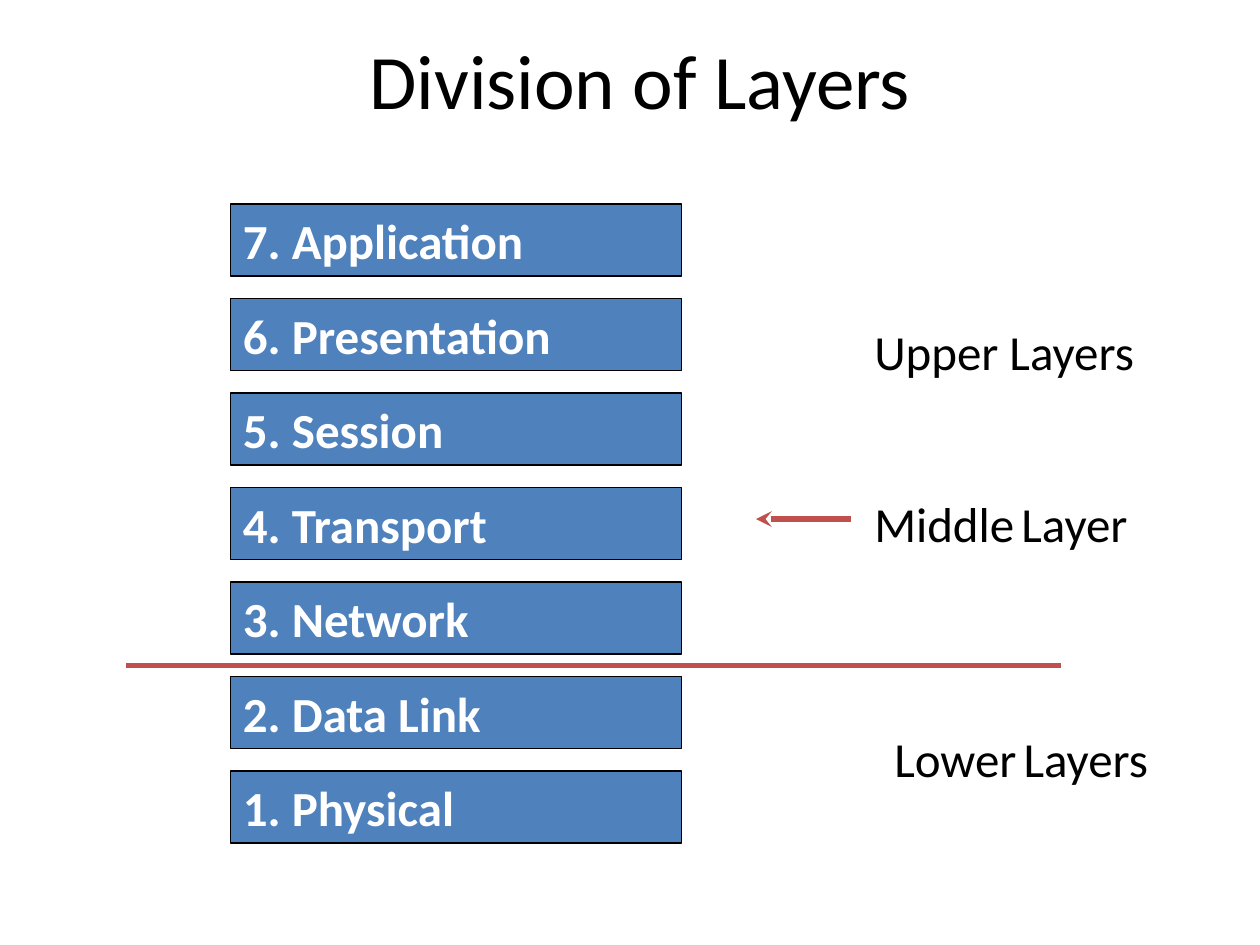
import dataclasses

import lxml.etree
import pptx
import pptx.dml.color
import pptx.enum.shapes
import pptx.enum.text
import pptx.oxml.ns
import pptx.util

Inches = pptx.util.Inches
Pt = pptx.util.Pt
Align = pptx.enum.text.PP_ALIGN
Anchor = pptx.enum.text.MSO_ANCHOR


@dataclasses.dataclass(frozen=True)
class Theme:
    font: str = "Calibri"
    ink: str = "000000"
    light: str = "FFFFFF"
    bar: str = "4F81BD"
    rule: str = "C0504D"
    title: int = 44
    body: int = 28
    gap: int = 18
    edge: float = 0.75
    stroke: int = 3


THEME = Theme()


def color(code):
    return pptx.dml.color.RGBColor.from_string(code)


def write(shape, runs, ink, bold=False, align=Align.LEFT, anchor=Anchor.MIDDLE):
    frame = shape.text_frame
    frame.vertical_anchor = anchor
    line = frame.paragraphs[0]
    line.alignment = align
    for text, size in runs:
        run = line.add_run()
        run.text = text
        run.font.name = THEME.font
        run.font.size = Pt(size)
        run.font.bold = bold
        run.font.color.rgb = color(ink)


def add_title(slide, text):
    box = slide.shapes.add_textbox(Inches(0.58), 0, Inches(9), Inches(1.25))
    box.text_frame.word_wrap = True
    write(box, [(text, THEME.title)], THEME.ink, align=Align.CENTER)


def add_label(slide, left, top, width, runs):
    box = slide.shapes.add_textbox(
        Inches(left), Inches(top), Inches(width), Inches(0.57))
    box.text_frame.word_wrap = False
    box.text_frame.auto_size = pptx.enum.text.MSO_AUTO_SIZE.SHAPE_TO_FIT_TEXT
    write(box, runs, THEME.ink, anchor=Anchor.TOP)


def add_bar(slide, top, text):
    bar = slide.shapes.add_shape(
        pptx.enum.shapes.MSO_SHAPE.RECTANGLE,
        Inches(1.83), Inches(top), Inches(3.58), Inches(0.57))
    bar.shadow.inherit = False
    bar.fill.solid()
    bar.fill.fore_color.rgb = color(THEME.bar)
    bar.line.color.rgb = color(THEME.ink)
    bar.line.width = Pt(THEME.edge)
    bar.text_frame.word_wrap = True
    write(bar, [(text, THEME.body)], THEME.light, bold=True)


def add_line(slide, start, end, top, arrow=False):
    line = slide.shapes.add_connector(
        pptx.enum.shapes.MSO_CONNECTOR.STRAIGHT,
        Inches(start), Inches(top), Inches(end), Inches(top))
    line.line.color.rgb = color(THEME.rule)
    line.line.width = Pt(THEME.stroke)
    qn = pptx.oxml.ns.qn
    props = line.element.spPr
    if arrow:
        stroke = props.find(qn("a:ln"))
        lxml.etree.SubElement(stroke, qn("a:headEnd"), type="stealth")
    lxml.etree.SubElement(props, qn("a:effectLst"))


def main():
    deck = pptx.Presentation()
    deck.slide_width = Inches(10)
    deck.slide_height = Inches(7.5)
    slide = deck.slides.add_slide(deck.slide_layouts[6])

    body = THEME.body
    space = (" ", THEME.gap)
    add_title(slide, "Division of Layers")
    add_line(slide, 1, 8.42, 5.28)
    add_label(slide, 6.84, 2.5, 2.28, [("Upper Layers", body)])
    add_label(slide, 7, 5.73, 2.24, [("Lower", body), space, ("Layers", body)])
    add_label(slide, 6.84, 3.87, 2.22, [("Middle", body), space, ("Layer", body)])
    add_line(slide, 6, 6.75, 4.12, arrow=True)

    names = ["Application", "Presentation", "Session", "Transport",
             "Network", "Data Link", "Physical"]
    for row, name in enumerate(names):
        add_bar(slide, 1.62 + 0.75 * row, f"{len(names) - row}. {name}")

    deck.save("out.pptx")


if __name__ == "__main__":
    main()
